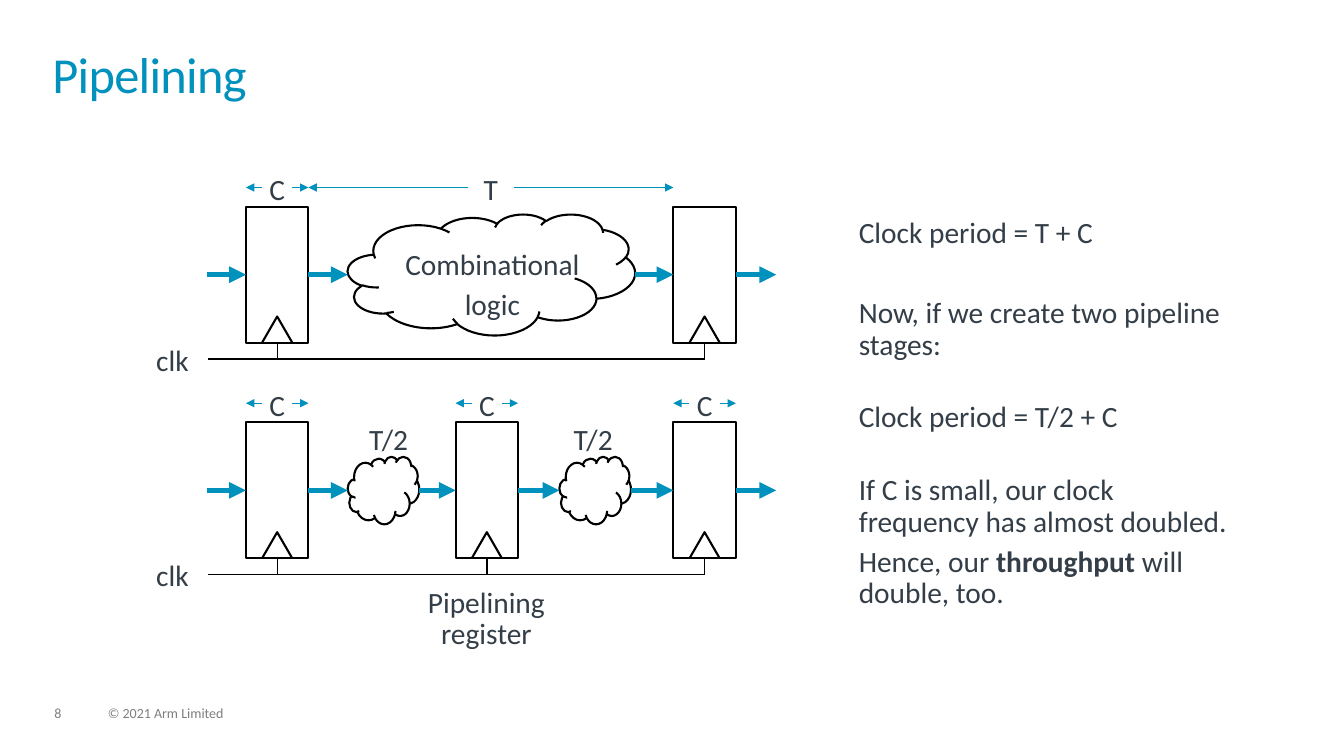
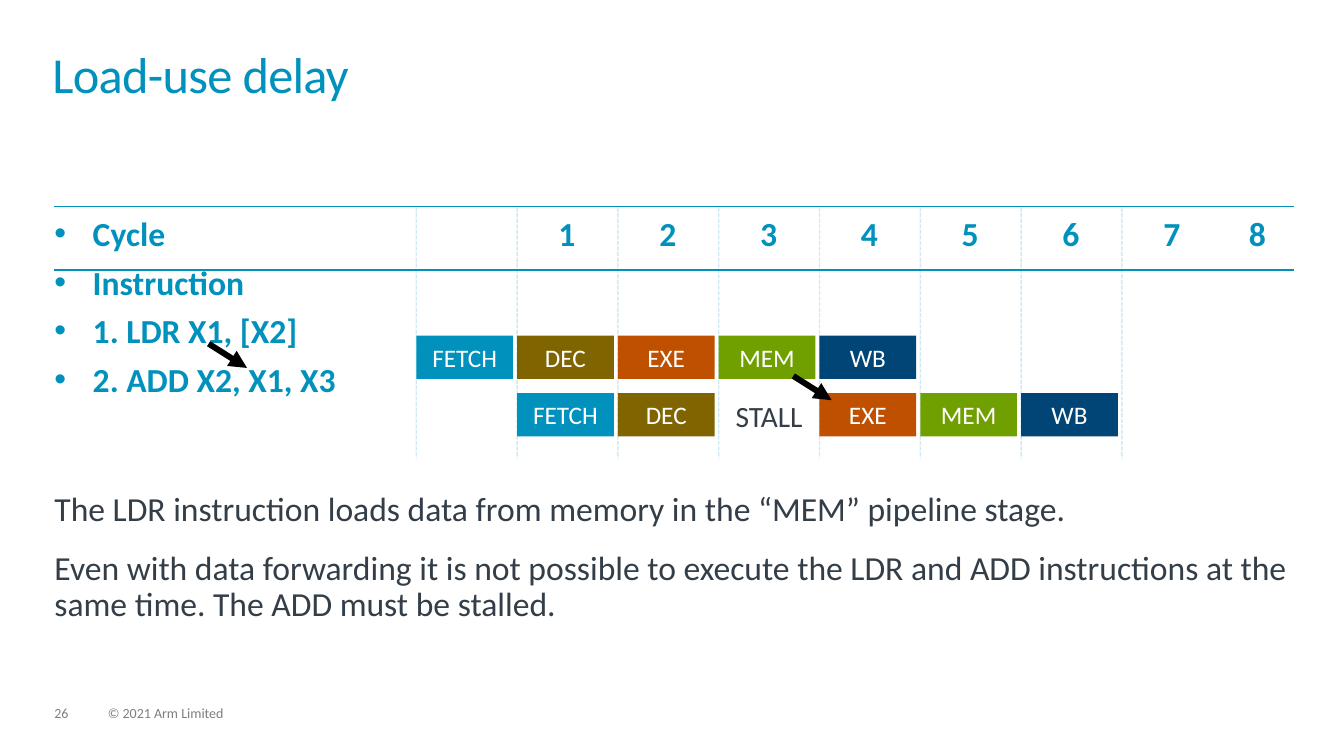
import pptx
import pptx.dml.color
import pptx.enum.dml
import pptx.enum.shapes
import pptx.enum.text
import pptx.oxml
import pptx.oxml.ns
import pptx.util
from lxml import etree

Pt = pptx.util.Pt
RGBColor = pptx.dml.color.RGBColor
SHAPE = pptx.enum.shapes.MSO_SHAPE
ALIGN = pptx.enum.text.PP_ALIGN
ANCHOR = pptx.enum.text.MSO_ANCHOR
qn = pptx.oxml.ns.qn

TEAL = RGBColor(0x00, 0x91, 0xBD)
INK = RGBColor(0x33, 0x3E, 0x48)
GREY = RGBColor(0x7F, 0x7F, 0x7F)
BLACK = RGBColor(0x00, 0x00, 0x00)
WHITE = RGBColor(0xFF, 0xFF, 0xFF)
ORANGE = RGBColor(0xBF, 0x50, 0x00)
OLIVE = RGBColor(0x80, 0x64, 0x00)
GREEN = RGBColor(0x70, 0xA0, 0x00)
NAVY = RGBColor(0x00, 0x45, 0x75)

FONT = "Calibri"
TITLE_ONLY, TITLE_AND_BODY = 5, 1
TOP, LEFT, BOTTOM, RIGHT = range(4)  # connection sites of a rectangle
STAGE_FILLS = {"FETCH": TEAL, "DEC": OLIVE, "EXE": ORANGE, "MEM": GREEN, "WB": NAVY}


def cells(*counts):
    """Lengths of the given numbers of grid cells, ten cells to the inch."""
    return [pptx.util.Inches(count / 10) for count in counts]


class Deck:
    def __init__(self):
        self.presentation = pptx.Presentation()
        (self.presentation.slide_width,
         self.presentation.slide_height) = cells(133.33, 75)
        self.slide = None

    def add_slide(self, title, number, layout):
        layouts = self.presentation.slide_layouts
        self.slide = self.presentation.slides.add_slide(layouts[layout])
        heading = self.slide.shapes.title
        self.place(heading, 5.2, 5.2, 122.8, 7.2)
        self.fill_frame(heading.text_frame, [title], 36, TEAL, spacing=0.85, after=0)
        run = heading.text_frame.paragraphs[0].runs[0]
        run._r.get_or_add_rPr().set("spc", "-50")
        self.text(5.4, 70.1, 3.4, 1.5, [number], 10, GREY)
        self.text(10.7, 70.1, 50.7, 1.5, ["© 2021 Arm Limited"], 10, GREY)

    def place(self, shape, col, row, width, height):
        shape.left, shape.top, shape.width, shape.height = cells(col, row, width, height)

    def fill_frame(self, frame, lines, size, color, align=ALIGN.LEFT, spacing=0.9,
                   before=0, after=6, bold=False, bullet=False):
        """Write one paragraph per line; parts between ** marks are bold."""
        frame.word_wrap = True
        frame.auto_size = pptx.enum.text.MSO_AUTO_SIZE.NONE
        frame.vertical_anchor = ANCHOR.TOP
        frame.margin_left = frame.margin_right = 0
        frame.margin_top = frame.margin_bottom = 0
        for index, line in enumerate(lines):
            paragraph = frame.add_paragraph() if index else frame.paragraphs[0]
            paragraph.alignment = align
            paragraph.line_spacing = spacing
            paragraph.space_before = Pt(before if index else 0)
            paragraph.space_after = Pt(after)
            if bullet:
                self.add_bullet(paragraph)
            paragraph.font.name = FONT
            paragraph.font.size = Pt(size)
            paragraph.font.color.rgb = color
            paragraph.font.bold = bold
            for part_index, part in enumerate(line.split("**")):
                run = paragraph.add_run()
                run.text = part
                if part_index % 2:
                    run.font.bold = True

    def add_bullet(self, paragraph):
        properties = paragraph._p.get_or_add_pPr()
        indent, tab = cells(3.8, 10)
        properties.set("marL", str(indent))
        properties.set("indent", str(-indent))
        properties.set("defTabSz", str(tab))
        bullet_color = etree.SubElement(properties, qn("a:buClr"))
        etree.SubElement(bullet_color, qn("a:srgbClr")).set("val", str(TEAL))
        etree.SubElement(properties, qn("a:buFont")).set("typeface", "Arial")
        etree.SubElement(properties, qn("a:buChar")).set("char", "•")

    def body(self, col, row, width, height, lines):
        outline = self.slide.placeholders[1]
        self.place(outline, col, row, width, height)
        self.fill_frame(outline.text_frame, lines, 24, TEAL, spacing=1.0,
                        before=6, after=0, bold=True, bullet=True)

    def text(self, col, row, width, height, lines, size=21, color=INK, **style):
        box = self.slide.shapes.add_textbox(*cells(col, row, width, height))
        self.fill_frame(box.text_frame, lines, size, color, **style)
        return box.text_frame

    def outline(self, shape):
        shape.shadow.inherit = False
        shape.fill.background()
        shape.line.color.rgb = BLACK
        shape.line.width = Pt(1.5)
        return shape

    def outlined(self, kind, col, row, width, height):
        return self.outline(
            self.slide.shapes.add_shape(kind, *cells(col, row, width, height)))

    def block(self, col, row, width, height, label, fill):
        shape = self.slide.shapes.add_shape(
            SHAPE.RECTANGLE, *cells(col, row, width, height))
        shape.shadow.inherit = False
        shape.fill.solid()
        shape.fill.fore_color.rgb = fill
        shape.line.fill.background()
        self.fill_frame(shape.text_frame, [label], 18, WHITE,
                        align=ALIGN.CENTER, spacing=1.0, after=0)
        shape.text_frame.vertical_anchor = ANCHOR.MIDDLE

    def line(self, start, end, color=BLACK, width=1, arrow=False, faint=False,
             start_join=None, end_join=None):
        """Draw from start to end; a join is a rectangle and one of its sites."""
        connector = self.slide.shapes.add_connector(
            pptx.enum.shapes.MSO_CONNECTOR.STRAIGHT, *cells(*start, *end))
        if start_join:
            connector.begin_connect(*start_join)
        if end_join:
            connector.end_connect(*end_join)
        connector.line.color.rgb = color
        connector.line.width = Pt(width)
        properties = connector._element.spPr
        if faint:
            connector.line.dash_style = pptx.enum.dml.MSO_LINE.SQUARE_DOT
            tint = properties.find(".//" + qn("a:srgbClr"))
            etree.SubElement(tint, qn("a:alpha")).set("val", "18000")
        if arrow:
            etree.SubElement(connector.line._get_or_add_ln(),
                             qn("a:tailEnd")).set("type", "triangle")
        etree.SubElement(properties, qn("a:effectLst"))

    def flow(self, start, end, **joins):
        self.line(start, end, TEAL, 4, arrow=True, **joins)

    def dimension(self, label, left, right, row, half_gap):
        """Label a span, with an arrow from the label to each end."""
        center = (left + right) / 2
        self.text(center - 2.2, row - 1.2, 4.4, 2.4, [label], align=ALIGN.CENTER)
        self.line((center - half_gap, row), (left, row), TEAL, arrow=True)
        self.line((center + half_gap, row), (right, row), TEAL, arrow=True)

    def clock_mark(self, center, base):
        corners = [cells(center + dx, base + dy)
                   for dx, dy in ((-1.5, 0), (0, -2.6), (1.5, 0))]
        builder = self.slide.shapes.build_freeform(*corners[0])
        builder.add_line_segments(corners[1:], close=False)
        self.outline(builder.convert_to_shape())


def draw_pipeline(deck, top, register_cols, clouds, timed_cols):
    """Draw registers with clouds (left, width, height) between them."""
    width, height = 6.2, 13.5
    middle, base, clock = top + height / 2, top + height, top + height + 1.6
    registers = []
    for col in register_cols:
        center = col + width / 2
        register = deck.outlined(SHAPE.RECTANGLE, col, top, width, height)
        registers.append(register)
        deck.clock_mark(center, base)
        deck.line((center, base), (center, clock), start_join=(register, BOTTOM))
    for col in timed_cols:
        deck.dimension("C", col, col + width, top - 1.9, 1.5)

    first, last = register_cols[0], register_cols[-1] + width
    deck.flow((first - 3.9, middle), (first, middle), end_join=(registers[0], LEFT))
    for index, (left, cloud_width, cloud_height) in enumerate(clouds):
        right = left + cloud_width
        deck.outlined(SHAPE.CLOUD, left, middle - cloud_height / 2,
                      cloud_width, cloud_height)
        deck.flow((register_cols[index] + width, middle), (left, middle),
                  start_join=(registers[index], RIGHT))
        deck.flow((right, middle), (register_cols[index + 1], middle),
                  end_join=(registers[index + 1], LEFT))
    deck.flow((last, middle), (last + 4, middle), start_join=(registers[-1], RIGHT))
    deck.line((last - width / 2, clock), (20.6, clock))
    deck.text(15.5, top + 13.8, 4.9, 3.2, ["clk"])


def build_pipelining(deck):
    deck.add_slide("Pipelining", "8", TITLE_ONLY)
    remarks = deck.text(85.2, 21.6, 37.6, 39.1, [
        "Clock period = T + C",
        "Now, if we create two pipeline stages:",
        "Clock period = T/2 + C",
        "If C is small, our clock frequency has almost doubled.",
        "Hence, our **throughput** will double, too.",
    ])
    for paragraph, gap in zip(remarks.paragraphs, (35, 29, 29)):
        paragraph.space_after = Pt(gap)

    draw_pipeline(deck, 20.5, [24.4, 66.8], [(34.5, 28.5, 12)], [24.4])
    deck.dimension("T", 30.6, 66.8, 18.6, 2.3)
    deck.text(40.1, 24.8, 17.5, 7.2, ["Combinational", "logic"], align=ALIGN.CENTER)

    columns = [24.4, 45.2, 66.8]
    draw_pipeline(deck, 41.9, columns, [(34.5, 7.1, 6.7), (55.5, 7.1, 6.7)], columns)
    for col in (36.4, 56.7):
        deck.text(col, 42.2, 4.3, 2.4, ["T/2"], align=ALIGN.CENTER)
    deck.text(38.3, 58.3, 19.9, 6.4, ["Pipelining", "register"],
              align=ALIGN.CENTER, after=0)


def build_load_use_delay(deck):
    deck.add_slide("Load-use delay", "26", TITLE_AND_BODY)
    deck.body(5.4, 21.1, 122.3, 26.5, [
        "Cycle\t\t\t\t1\t2\t3\t4\t5\t6\t7\t8",
        "Instruction",
        "1. LDR X1, [X2]",
        "2. ADD X2, X1, X3",
    ])
    for row in (20.5, 26.8):
        deck.line((5.4, row), (128.4, row), TEAL)

    first_cycle, pitch = 41.3, 10
    for cycle in range(8):
        col = first_cycle + pitch * cycle
        deck.line((col, 20.6), (col, 45.5), TEAL, faint=True)

    schedule = [
        (33.3, 0, ["FETCH", "DEC", "EXE", "MEM", "WB"]),
        (39, 1, ["FETCH", "DEC", "STALL", "EXE", "MEM", "WB"]),
    ]
    for row, start, stages in schedule:
        for cycle, stage in enumerate(stages, start):
            col = first_cycle + pitch * cycle
            if stage in STAGE_FILLS:
                deck.block(col, row, 9.6, 4.3, stage, STAGE_FILLS[stage])
            else:
                deck.text(col + 0.2, row + 0.9, 9.6, 3.2, [stage], align=ALIGN.CENTER)

    deck.text(5.4, 48.9, 122.3, 14.9, [
        "The LDR instruction loads data from memory in the “MEM” pipeline stage.",
        "Even with data forwarding it is not possible to execute the LDR and ADD "
        "instructions at the same time. The ADD must be stalled.",
    ], size=24, after=16)
    for col, row in ((78.7, 37.3), (20.7, 34.1)):
        deck.line((col, row), (col + 3.8, row + 2.4), width=4.25, arrow=True)


def main():
    deck = Deck()
    build_pipelining(deck)
    build_load_use_delay(deck)
    deck.presentation.save("out.pptx")


if __name__ == "__main__":
    main()
